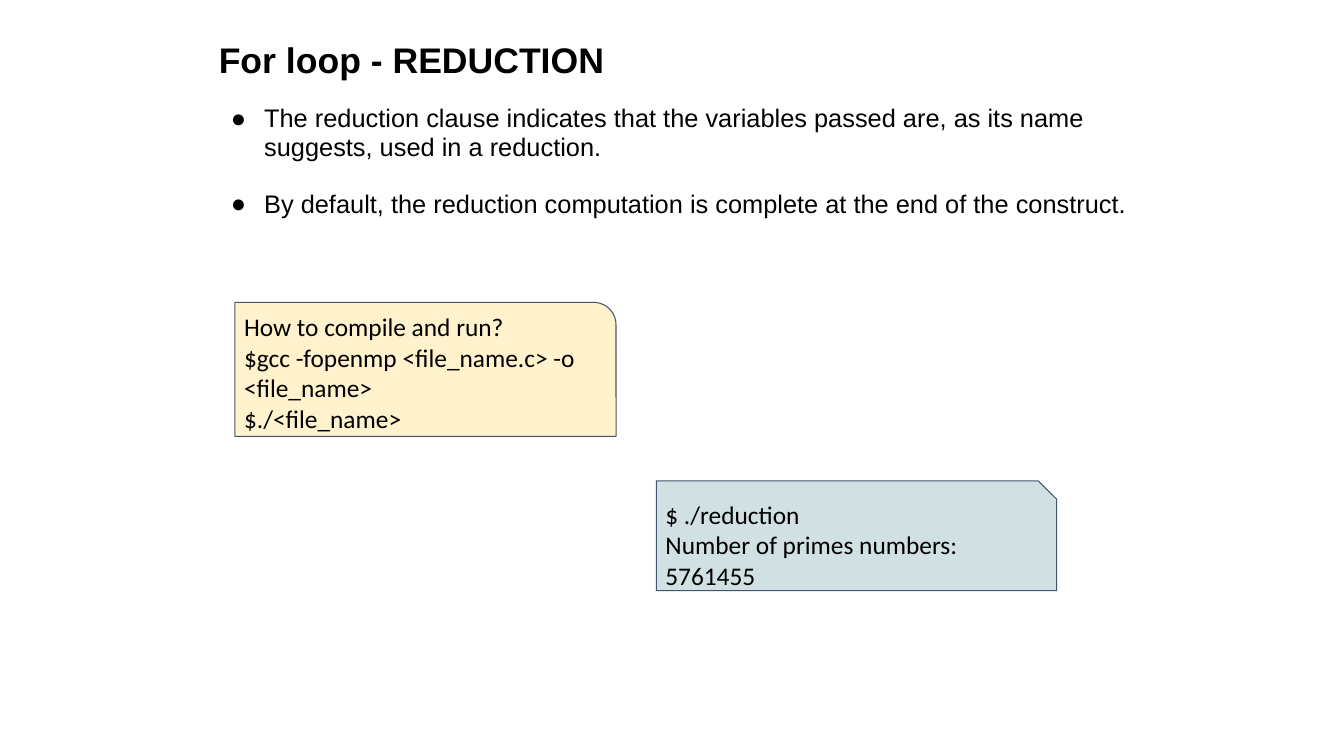
from dataclasses import dataclass

from lxml import etree
from pptx import Presentation
from pptx import util as u
from pptx.dml.color import RGBColor
from pptx.enum import shapes, text
from pptx.oxml.ns import qn


@dataclass(frozen=True)
class Theme:
    ink: str = "000000"
    outline: str = "44546A"
    cream: str = "FFF2CC"
    mist: str = "D0E0E3"
    heading_font: str = "Arial"
    code_font: str = "Calibri"
    title_size: float = 25.4
    body_size: float = 18.1


THEME = Theme()


def place(left, top, width, height):
    return [u.Inches(value) for value in (left, top, width, height)]


def set_margins(text_frame, margin):
    text_frame.word_wrap = True
    text_frame.margin_left = text_frame.margin_right = u.Inches(margin)
    text_frame.margin_top = text_frame.margin_bottom = u.Inches(margin)


def format_runs(paragraph, font_name, size, bold=False):
    for run in paragraph.runs:
        run.font.name = font_name
        run.font.size = u.Pt(size)
        run.font.bold = bold
        run.font.color.rgb = RGBColor.from_string(THEME.ink)


def add_bullet(paragraph):
    properties = paragraph._p.get_or_add_pPr()
    properties.set("marL", str(u.Inches(0.45)))
    properties.set("indent", str(u.Inches(-0.33)))
    color = etree.SubElement(properties, qn("a:buClr"))
    etree.SubElement(color, qn("a:srgbClr"), val=THEME.ink)
    etree.SubElement(properties, qn("a:buFont"), typeface=THEME.heading_font)
    etree.SubElement(properties, qn("a:buChar"), char="●")


def add_title(slide, wording, box):
    text_frame = slide.shapes.add_textbox(*place(*box)).text_frame
    set_margins(text_frame, 0)
    text_frame.vertical_anchor = text.MSO_ANCHOR.MIDDLE
    text_frame.text = wording
    paragraph = text_frame.paragraphs[0]
    paragraph.line_spacing = 0.9
    format_runs(paragraph, THEME.heading_font, THEME.title_size, bold=True)


def add_bullets(slide, points, box):
    text_frame = slide.shapes.add_textbox(*place(*box)).text_frame
    set_margins(text_frame, 0)
    text_frame.text = "\n".join(points)
    for index, paragraph in enumerate(text_frame.paragraphs):
        add_bullet(paragraph)
        paragraph.line_spacing = 0.95
        if index:
            paragraph.space_before = u.Pt(19.8)
        format_runs(paragraph, THEME.heading_font, THEME.body_size)


def add_code_card(slide, preset, lines, box, fill):
    card = slide.shapes.add_shape(preset, *place(*box))
    card.shadow.inherit = False
    card.fill.solid()
    card.fill.fore_color.rgb = RGBColor.from_string(fill)
    card.line.color.rgb = RGBColor.from_string(THEME.outline)
    card.line.width = u.Pt(0.75)
    text_frame = card.text_frame
    set_margins(text_frame, 0.09)
    text_frame.vertical_anchor = text.MSO_ANCHOR.TOP
    text_frame.text = "\n".join(lines)
    for paragraph in text_frame.paragraphs:
        paragraph.alignment = text.PP_ALIGN.LEFT
        format_runs(paragraph, THEME.code_font, THEME.body_size)


def main():
    presentation = Presentation()
    presentation.slide_width = u.Inches(13.33)
    presentation.slide_height = u.Inches(7.5)
    slide = presentation.slides.add_slide(presentation.slide_layouts[6])

    add_title(slide, "For loop - REDUCTION", (2.17, 0.3, 9, 0.64))
    add_bullets(slide, [
        "The reduction clause indicates that the variables passed are, "
        "as its name suggests, used in a reduction.",
        "By default, the reduction computation is complete at the end of the construct.",
    ], (2.17, 1.04, 9, 5.96))
    add_code_card(slide, shapes.MSO_SHAPE.ROUND_1_RECTANGLE, [
        "How to compile and run?",
        "$gcc -fopenmp <file_name.c> -o <file_name>",
        "$./<file_name>",
    ], (2.33, 3, 3.78, 1.33), THEME.cream)
    add_code_card(slide, shapes.MSO_SHAPE.SNIP_1_RECTANGLE, [
        "$ ./reduction",
        "Number of primes numbers: 5761455",
    ], (6.51, 4.77, 3.97, 1.09), THEME.mist)

    presentation.save("out.pptx")


if __name__ == "__main__":
    main()
